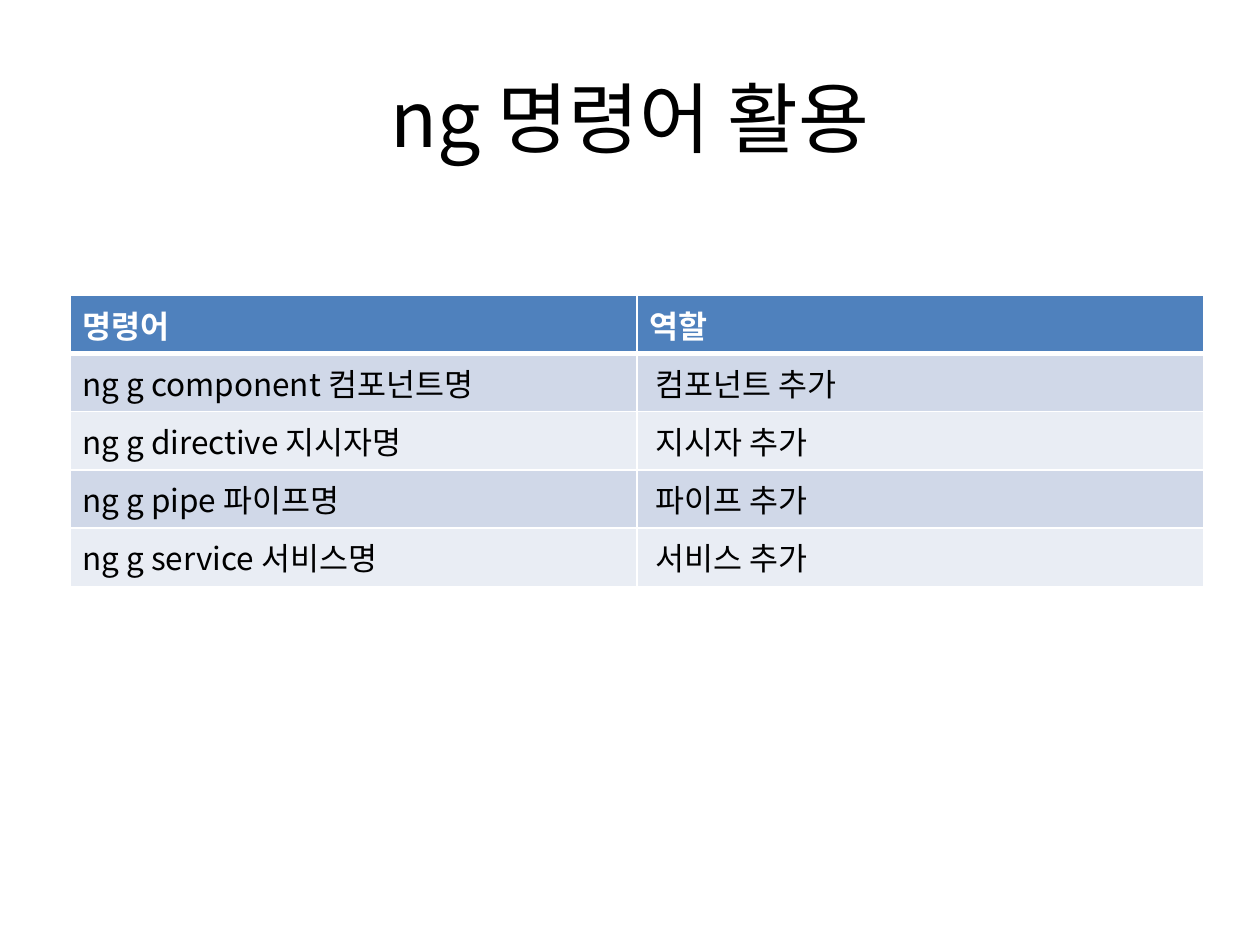
from lxml import etree
from pptx import Presentation, util as u
from pptx.dml.color import RGBColor
from pptx.enum import text
from pptx.oxml.ns import qn

TITLE = "ng 명령어 활용"
HEADINGS = ("명령어", "역할")
COMMANDS = [
    ("ng g component 컴포넌트명", "컴포넌트 추가"),
    ("ng g directive 지시자명", "지시자 추가"),
    ("ng g pipe 파이프명", "파이프 추가"),
    ("ng g service 서비스명", "서비스 추가"),
]
FONT = "Noto Sans CJK KR"
BLACK, WHITE = "000000", "FFFFFF"
HEADER_FILL, BAND_FILLS = "4F81BD", ("E9EDF4", "D0D8E8")
COLUMN_WIDTH, ROW_HEIGHT = u.Cm(11.43), u.Cm(1.03)
CELL_MARGIN, ROLE_INDENT = u.Cm(0.25), u.Cm(0.13)


def color(hex_value):
    return RGBColor.from_string(hex_value)


def write(frame, wording, size, ink, bold=False):
    run = frame.paragraphs[0].add_run()
    run.text = wording
    run.font.name, run.font.size, run.font.bold = FONT, u.Pt(size), bold
    run.font.color.rgb = color(ink)
    etree.SubElement(run.font._element, qn("a:ea"), typeface=FONT)


def draw_borders(cell, widths):
    properties = cell._tc.get_or_add_tcPr()
    for position, (side, width) in enumerate(widths.items()):
        line = etree.Element(qn(f"a:ln{side}"), w=str(u.Pt(width)))
        fill = etree.SubElement(line, qn("a:solidFill"))
        etree.SubElement(fill, qn("a:srgbClr"), val=WHITE)
        properties.insert(position, line)


def add_title(slide):
    title = slide.shapes.title
    title.left, title.top = u.Cm(1.27), u.Cm(0.76)
    title.width, title.height = u.Cm(22.86), u.Cm(3.18)
    frame = title.text_frame
    frame.vertical_anchor = text.MSO_ANCHOR.MIDDLE
    frame.paragraphs[0].alignment = text.PP_ALIGN.CENTER
    write(frame, TITLE, 44, BLACK)


def add_command_table(slide):
    rows = [HEADINGS, *COMMANDS]
    table = slide.shapes.add_table(
        len(rows), len(HEADINGS), u.Cm(1.41), u.Cm(5.95),
        COLUMN_WIDTH * len(HEADINGS), ROW_HEIGHT * len(rows)).table
    for r, row in enumerate(rows):
        header = r == 0
        for c, wording in enumerate(row):
            cell = table.cell(r, c)
            cell.fill.solid()
            cell.fill.fore_color.rgb = color(HEADER_FILL if header else BAND_FILLS[r % 2])
            cell.margin_left = CELL_MARGIN + (0 if header else ROLE_INDENT * c)
            write(cell.text_frame, wording, 18, WHITE if header else BLACK, header)
            draw_borders(cell, {"L": 1, "R": 1, "T": 3 if r == 1 else 1, "B": 3 if header else 1})


def main():
    """Build the slide on the ng commands and what each one adds."""
    deck = Presentation()
    deck.slide_width, deck.slide_height = u.Cm(25.4), u.Cm(19.05)
    slide = deck.slides.add_slide(deck.slide_layouts[5])
    add_title(slide)
    add_command_table(slide)
    deck.save("out.pptx")


if __name__ == "__main__":
    main()
